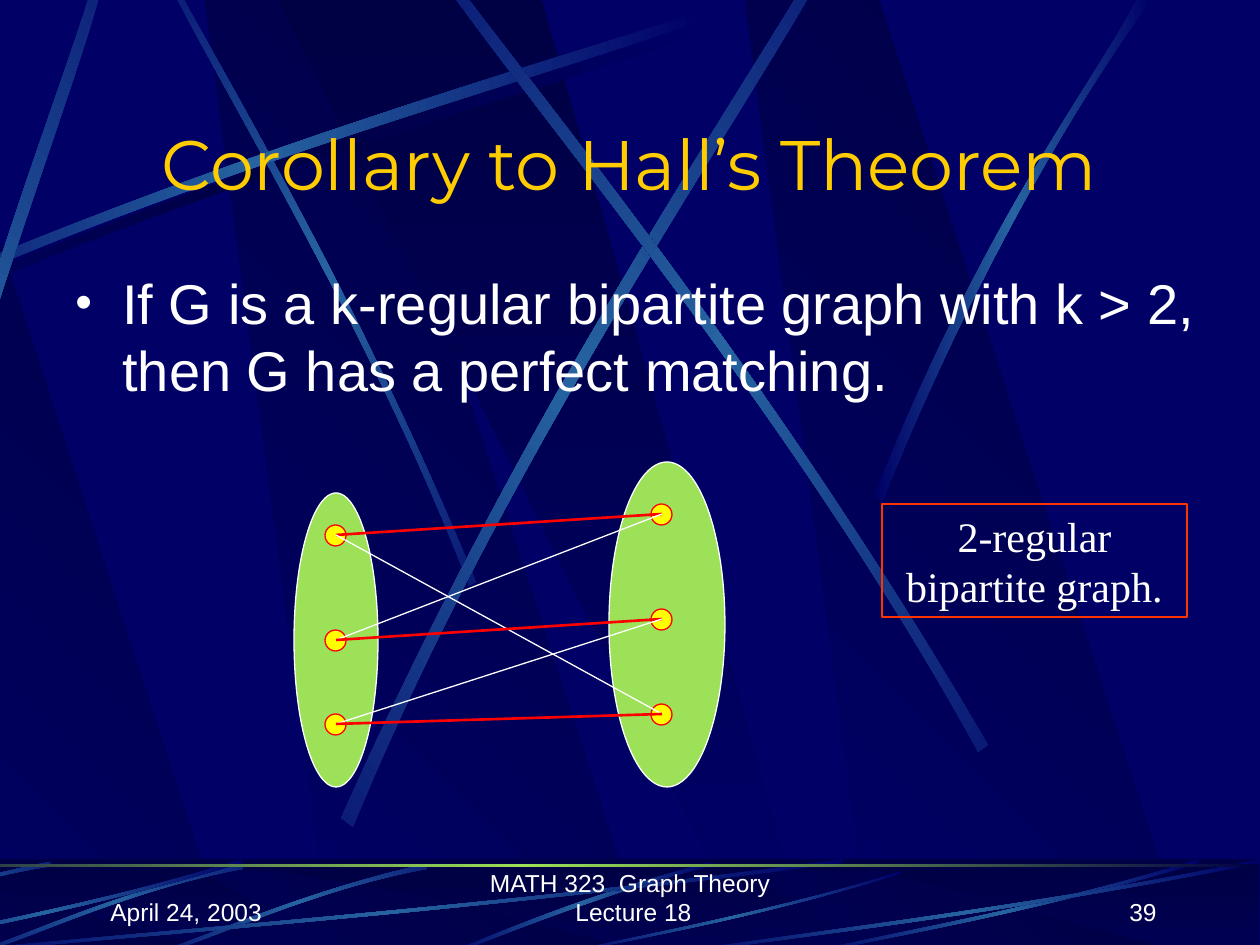
from math import cos, radians, sin

from lxml import etree
from pptx import Presentation
from pptx.dml.color import RGBColor
from pptx.enum.shapes import MSO_CONNECTOR, MSO_SHAPE
from pptx.enum.text import MSO_ANCHOR, PP_ALIGN
from pptx.oxml.ns import qn
from pptx.util import Emu, Pt

EMU_PER_PX = 914400 / 126
OVAL, RECTANGLE = MSO_SHAPE.OVAL, MSO_SHAPE.RECTANGLE
STRAIGHT = MSO_CONNECTOR.STRAIGHT
LEFT, CENTER, RIGHT = PP_ALIGN.LEFT, PP_ALIGN.CENTER, PP_ALIGN.RIGHT
TOP, MIDDLE, BOTTOM = MSO_ANCHOR.TOP, MSO_ANCHOR.MIDDLE, MSO_ANCHOR.BOTTOM

NAVY = RGBColor(0x00, 0x00, 0x66)
DARK_NAVY = RGBColor(0x00, 0x00, 0x44)
STEEL = RGBColor(0x26, 0x63, 0xA0)
GREEN = RGBColor(0x9C, 0xE1, 0x57)
WHITE = RGBColor(0xFF, 0xFF, 0xFF)
GOLD = RGBColor(0xFF, 0xCC, 0x00)
YELLOW = RGBColor(0xFF, 0xFF, 0x00)
RED = RGBColor(0xFF, 0x00, 0x00)
ORANGE_RED = RGBColor(0xFF, 0x33, 0x00)

STREAK = (NAVY, STEEL, NAVY)
LONG_STREAK = [(-192, 336), (197, 158), (549, 63), (701, 11),
               (704, 19), (557, 76), (152, 179), (-188, 349)]
STEEP_STREAKS = [
    (45, [(476, 582), (360, 300), (223, 74), (170, -26),
          (165, -25), (214, 77), (373, 333), (469, 586)]),
    (0, LONG_STREAK),
    (312, [(-139, 805), (-71, 418), (52, 120), (93, -16),
           (102, -14), (66, 125), (-77, 464), (-126, 813)]),
    (321, [(341, 818), (523, 410), (737, 100), (820, -43),
           (829, -39), (751, 106), (504, 457), (353, 827)]),
    (35, [(988, 745), (772, 374), (538, 95), (444, -34),
          (436, -29), (525, 102), (796, 418), (978, 752)]),
    (0, [(874, 496), (985, 218), (1095, 82), (1137, -1),
         (1152, -1), (1018, 183), (920, 406), (883, 501)]),
]
FOOTER_CURVE = [(711, 862), (577, 897), (490, 937), (447, 953),
                (454, 954), (508, 932), (629, 885), (712, 866)]
FOOTER_TILTED = [(425, 864), (307, 891), (219, 931), (178, 945),
                 (179, 948), (221, 935), (321, 888), (427, 869)]
FOOTER_CORNER = [(49, 862), (-68, 885), (-155, 922), (-195, 936),
                 (-194, 939), (-154, 927), (-54, 882), (52, 866)]
FOOTER_SHORT = [(903, 873), (756, 919), (622, 941), (566, 954),
                (563, 953), (620, 939), (774, 912), (902, 871)]
SWEEP = [(1, 863), (0.57, 914), (0.17, 940), (0, 955),
         (0, 953), (0.17, 936), (0.62, 907), (1, 859)]


def px(value):
    return Emu(round(value * EMU_PER_PX))


def moved(points, x, y):
    return [(left + x, top + y) for left, top in points]


def rotated(x, y, degrees):
    angle = radians(degrees)
    return x * cos(angle) - y * sin(angle), x * sin(angle) + y * cos(angle)


class SlideBuilder:
    def __init__(self, slide):
        self.slide = slide
        self.shapes = slide.shapes

    def background(self, color):
        fill = self.slide.background.fill
        fill.solid()
        fill.fore_color.rgb = color

    def gradient(self, shape, colors, angle):
        shape.fill.gradient()
        stops = shape.fill._fill._gradFill.find(qn("a:gsLst"))
        for stop in list(stops):
            stops.remove(stop)
        for index, color in enumerate(colors):
            position = str(100000 * index // (len(colors) - 1))
            stop = etree.SubElement(stops, qn("a:gs"), pos=position)
            etree.SubElement(stop, qn("a:srgbClr"), val=str(color))
        shape.fill.gradient_angle = -angle % 360

    def polygon(self, points, colors, angle):
        corners = [(px(x), px(y)) for x, y in points]
        builder = self.shapes.build_freeform(*corners[0], scale=1.0)
        builder.add_line_segments(corners[1:], close=True)
        shape = builder.convert_to_shape()
        shape.shadow.inherit = False
        shape.line.fill.background()
        self.gradient(shape, colors, angle)
        return shape

    def bend(self, shape):
        lines = list(shape._element.iter(qn("a:lnTo")))
        for first, *others in (lines[:3], lines[4:]):
            first.tag = qn("a:cubicBezTo")
            for line in others:
                first.append(line[0])
                line.getparent().remove(line)

    def streak(self, points, rotation=0, colors=STREAK):
        shape = self.polygon([rotated(x, y, -rotation) for x, y in points], colors, 0)
        self.bend(shape)
        center_x, center_y = rotated(shape.left + shape.width / 2,
                                     shape.top + shape.height / 2, rotation)
        shape.left = Emu(round(center_x - shape.width / 2))
        shape.top = Emu(round(center_y - shape.height / 2))
        shape.rotation = rotation

    def sweep(self, left, width):
        self.streak([(left + part * width, y) for part, y in SWEEP])

    def panels(self, top, bottom):
        for left in (205, -213, 745):
            self.polygon([(left + 126, bottom), (left + 444, bottom), (left + 134, top),
                          (left, top)], (NAVY, DARK_NAVY), 315)
        self.polygon([(278, top), (756, bottom), (810, bottom), (542, top)],
                     (DARK_NAVY, NAVY), 90)

    def shape(self, kind, box, fill=None, line=None):
        shape = self.shapes.add_shape(kind, *map(px, box))
        shape.shadow.inherit = False
        if fill is None:
            shape.fill.background()
        else:
            shape.fill.solid()
            shape.fill.fore_color.rgb = fill
        if line is None:
            shape.line.fill.background()
        else:
            shape.line.color.rgb = line
            shape.line.width = Pt(0.75)
        return shape

    def band(self, top, height, colors, angle):
        self.gradient(self.shape(RECTANGLE, (-213, top, 1472, height)), colors, angle)

    def veil(self, top, height):
        shape = self.shape(RECTANGLE, (-213, top, 1472, height), DARK_NAVY)
        color = shape.fill._xPr.find(qn("a:solidFill"))[0]
        etree.SubElement(color, qn("a:alpha"), val="50000")

    def edge(self, start, end, color, width):
        connector = self.shapes.add_connector(STRAIGHT, *map(px, (*start, *end)))
        connector.line.color.rgb = color
        connector.line.width = Pt(width)
        etree.SubElement(connector._element.spPr, qn("a:effectLst"))

    def text(self, box, text, size, font="Arial", color=WHITE, align=LEFT, anchor=TOP,
             bullet=False, line=None):
        shape = self.shape(RECTANGLE, box, line=line) if line else \
            self.shapes.add_textbox(*map(px, box))
        frame = shape.text_frame
        frame.word_wrap = True
        frame.vertical_anchor = anchor
        paragraph = frame.paragraphs[0]
        paragraph.text = text
        paragraph.alignment = align
        if bullet:
            properties = paragraph._p.get_or_add_pPr()
            properties.set("marL", str(px(47)))
            properties.set("indent", str(px(-47)))
            etree.SubElement(properties, qn("a:buSzPct"), val="85000")
            etree.SubElement(properties, qn("a:buFont"), typeface=font)
            etree.SubElement(properties, qn("a:buChar"), char="•")
        paragraph.font.size = Pt(size)
        paragraph.font.name = font
        paragraph.font.color.rgb = color


def draw_backdrop(builder):
    builder.background(NAVY)
    builder.panels(0, 951)
    builder.streak(moved(LONG_STREAK, 9, 10), colors=(NAVY, DARK_NAVY, NAVY))
    for rotation, points in STEEP_STREAKS:
        builder.streak(points, rotation)
    builder.band(859, 94, (DARK_NAVY, NAVY), 90)
    builder.panels(871, 954)
    builder.veil(859, 94)
    builder.streak(FOOTER_CURVE)
    builder.streak(FOOTER_TILTED, 315)
    builder.streak(moved(FOOTER_TILTED, -184, 0), 315)
    builder.streak(FOOTER_CORNER, 315)
    builder.sweep(-66, 909)
    builder.sweep(-151, 393)
    builder.streak(FOOTER_SHORT)
    builder.sweep(806, 393)
    builder.sweep(672, 588)
    builder.band(864, 3, (DARK_NAVY, GREEN, DARK_NAVY), 0)


def draw_graph(builder):
    left_nodes = [(336, y) for y in (535, 640, 724)]
    right_nodes = [(662, y) for y in (514, 619, 714)]
    builder.shape(OVAL, (294, 493, 84, 294), GREEN, WHITE)
    builder.shape(OVAL, (609, 462, 116, 325), GREEN, WHITE)
    for x, y in left_nodes + right_nodes:
        builder.shape(OVAL, (x - 11, y - 10, 21, 21), YELLOW, RED)
    for left, right in ((0, 0), (0, 2), (1, 0), (1, 1), (2, 1), (2, 2)):
        color, width = (RED, 1.5) if left == right else (WHITE, 0.75)
        builder.edge(left_nodes[left], right_nodes[right], color, width)


def main():
    presentation = Presentation()
    presentation.slide_width, presentation.slide_height = px(1260), px(945)
    builder = SlideBuilder(presentation.slides.add_slide(presentation.slide_layouts[6]))
    draw_backdrop(builder)
    for left, width, text, align in ((98, 262, "April 24, 2003", LEFT),
                                     (434, 399, "MATH 323  Graph Theory  Lecture 18", CENTER),
                                     (907, 262, "39", RIGHT)):
        builder.text((left, 870, width, 63), text, 14, align=align, anchor=BOTTOM)
    builder.text((94, 114, 1071, 97), "Corollary to Hall’s Theorem", 40, "Montserrat", GOLD,
                 CENTER, MIDDLE)
    builder.text((63, 262, 1155, 158), "If G is a k-regular bipartite graph with k > 2, "
                 "then G has a perfect matching.", 32, bullet=True)
    draw_graph(builder)
    builder.text((882, 504, 305, 113), "2-regular bipartite graph.", 24, "Times New Roman",
                 align=CENTER, line=ORANGE_RED)
    presentation.save("out.pptx")


if __name__ == "__main__":
    main()
